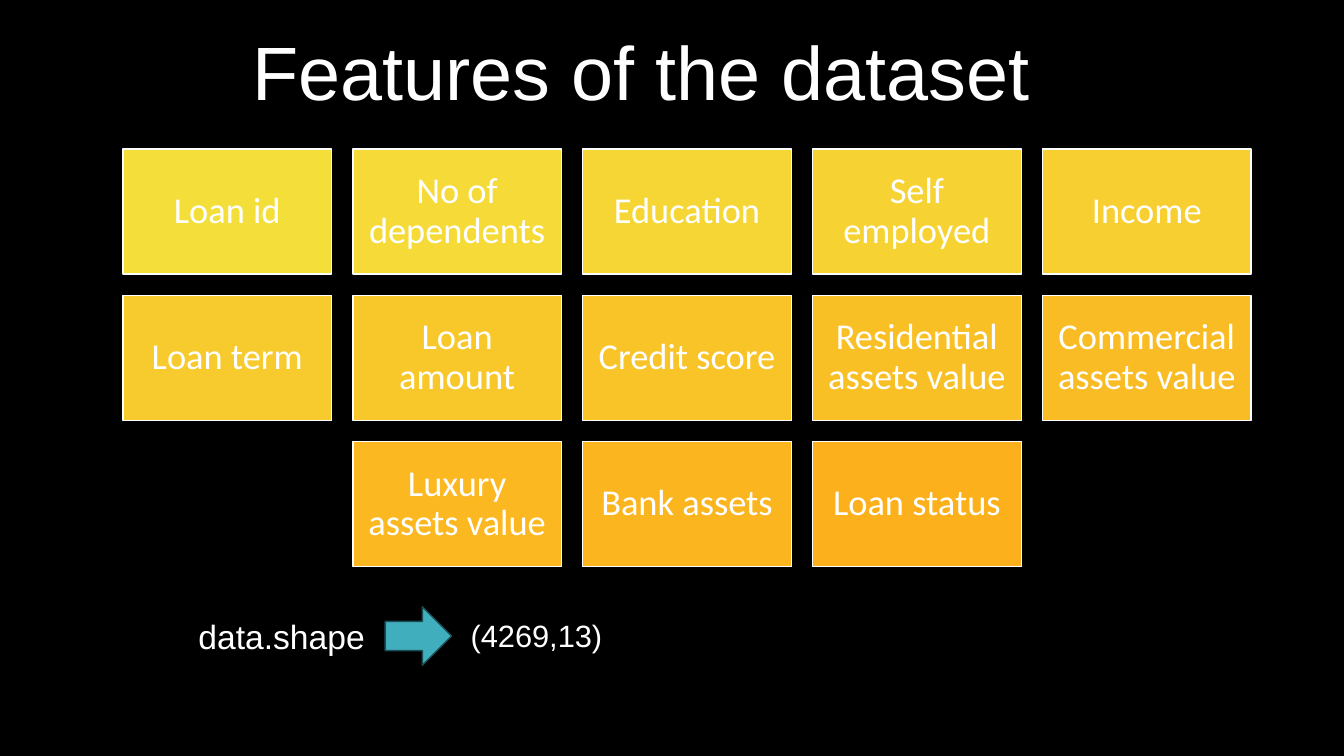
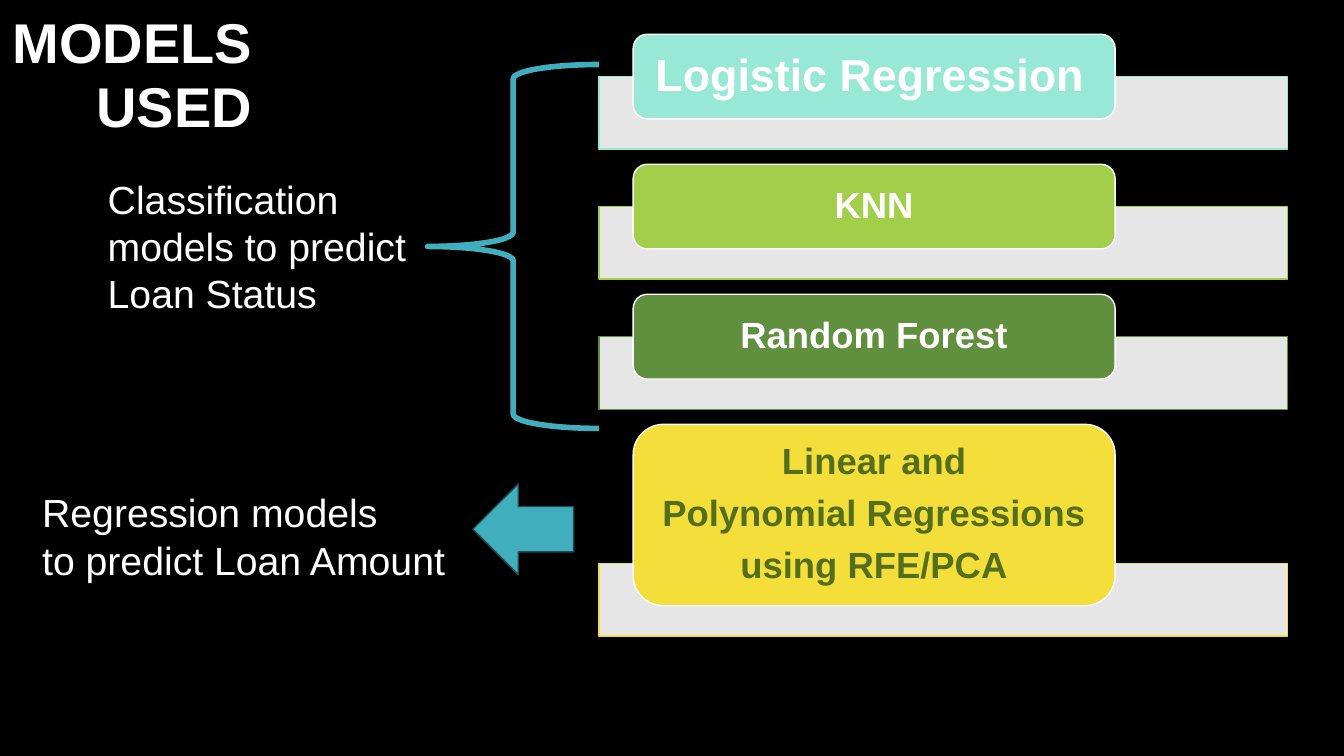
"""Build two dark slides: the features of a loan dataset and the models used on it."""
from pptx import Presentation
from pptx.dml.color import RGBColor
from pptx.enum.shapes import MSO_SHAPE
from pptx.enum.text import MSO_ANCHOR, MSO_AUTO_SIZE, PP_ALIGN
from pptx.util import Inches, Pt

WHITE, BLACK, BAR_GREY = "FFFFFF", "000000", "E6E6E6"
TEAL, TEAL_EDGE, OLIVE = "41AEBD", "1C4C53", "536F1D"
FIRST_FEATURE, LAST_FEATURE = "F4DE3A", "FCB11C"
LEFT, CENTER, RIGHT = PP_ALIGN.LEFT, PP_ALIGN.CENTER, PP_ALIGN.RIGHT

FEATURES = [
    ["Loan id", "No of dependents", "Education", "Self employed", "Income"],
    ["Loan term", "Loan amount", "Credit score", "Residential assets value",
     "Commercial assets value"],
    ["Luxury assets value", "Bank assets", "Loan status"],
]
GRID_LEFT, GRID_TOP, CELL_WIDTH, CELL_HEIGHT, CELL_GAP = 1.22, 1.48, 2.07, 1.24, 0.21

MODELS = [
    (["Logistic Regression"], "97E9D5", WHITE, 32, LEFT, 0.84),
    (["KNN"], "A2CF49", WHITE, 26, CENTER, 0.84),
    (["Random Forest"], "608F3D", WHITE, 26, CENTER, 0.84),
    (["Linear and", "Polynomial Regressions", "using RFE/PCA"],
     "F4DE3A", OLIVE, 26, CENTER, 1.8),
]
STACK_TOP, BAR_LEFT, BAR_WIDTH, BAR_HEIGHT = 0.34, 5.94, 6.83, 0.72
LABEL_INDENT, LABEL_WIDTH, OVERLAP, STACK_GAP = 0.34, 4.78, 0.42, 0.15


def color(hex_code):
    """Turn a hex string into a colour."""
    return RGBColor.from_string(hex_code)


def blend(start, end, share):
    """Mix two hex colours, channel by channel."""
    pairs = zip(color(start), color(end))
    return "".join(f"{round(a + (b - a) * share):02X}" for a, b in pairs)


def write(frame, lines, size, ink=WHITE, font="Arial", bold=False, align=LEFT,
          spacing=1.0, after=0, anchor=MSO_ANCHOR.TOP, insets=(0.1, 0.05)):
    """Fill a text frame with evenly formatted paragraphs."""
    frame.word_wrap = True
    frame.auto_size = MSO_AUTO_SIZE.NONE
    frame.vertical_anchor = anchor
    frame.margin_left = frame.margin_right = Inches(insets[0])
    frame.margin_top = frame.margin_bottom = Inches(insets[1])
    frame.text = "\n".join(lines)
    for paragraph in frame.paragraphs:
        paragraph.alignment = align
        paragraph.line_spacing = spacing
        paragraph.space_before, paragraph.space_after = Pt(0), Pt(after)
        paragraph.font.name, paragraph.font.size = font, Pt(size)
        paragraph.font.bold = bold
        paragraph.font.color.rgb = color(ink)


def add_box(slide, preset, place, fill, edge, edge_width=1):
    """Add a preset shape with a fill, or none, and an outline."""
    box = slide.shapes.add_shape(preset, *map(Inches, place))
    box.shadow.inherit = False
    if fill:
        box.fill.solid()
        box.fill.fore_color.rgb = color(fill)
    else:
        box.fill.background()
    box.line.color.rgb = color(edge)
    box.line.width = Pt(edge_width)
    return box


def add_note(slide, place, lines, size):
    """Add plain white text."""
    note = slide.shapes.add_textbox(*map(Inches, place))
    write(note.text_frame, lines, size)


def add_titled_slide(deck, title, place, size, **style):
    """Add a title-only slide and lay out its title."""
    slide = deck.slides.add_slide(deck.slide_layouts[5])
    heading = slide.shapes.title
    heading.left, heading.top, heading.width, heading.height = map(Inches, place)
    write(heading.text_frame, [title], size, anchor=MSO_ANCHOR.MIDDLE, **style)
    return slide


def build_features(deck):
    """Lay out the feature grid, each row centred, and the data shape."""
    slide = add_titled_slide(deck, "Features of the dataset", (1, 0.03, 10.72, 1.45),
                             54, align=CENTER, spacing=0.9)
    columns = max(map(len, FEATURES))
    cells = [(row, column + (columns - len(names)) / 2, name)
             for row, names in enumerate(FEATURES)
             for column, name in enumerate(names)]
    for index, (row, column, name) in enumerate(cells):
        place = (GRID_LEFT + column * (CELL_WIDTH + CELL_GAP),
                 GRID_TOP + row * (CELL_HEIGHT + CELL_GAP), CELL_WIDTH, CELL_HEIGHT)
        fill = blend(FIRST_FEATURE, LAST_FEATURE, index / (len(cells) - 1))
        cell = add_box(slide, MSO_SHAPE.RECTANGLE, place, fill, WHITE)
        write(cell.text_frame, [name], 26, font="Calibri", align=CENTER, spacing=0.9,
              anchor=MSO_ANCHOR.MIDDLE, insets=(0.11, 0.11))
    add_note(slide, (1.87, 6.06, 1.87, 0.5), ["data.shape"], 24)
    add_box(slide, MSO_SHAPE.RIGHT_ARROW, (3.82, 6.02, 0.66, 0.58), TEAL, TEAL_EDGE)
    add_note(slide, (4.57, 6.07, 1.53, 0.47), ["(4269,13)"], 22)


def build_models(deck):
    """Stack the models and point to what each group predicts."""
    slide = add_titled_slide(deck, "MODELS USED", (0, 0, 2.6, 1.52), 40,
                             bold=True, align=RIGHT, spacing=0.95)
    top = STACK_TOP
    for lines, fill, ink, size, align, height in MODELS:
        bar_top = top + height - OVERLAP
        add_box(slide, MSO_SHAPE.RECTANGLE, (BAR_LEFT, bar_top, BAR_WIDTH, BAR_HEIGHT),
                BAR_GREY, fill)
        label = add_box(slide, MSO_SHAPE.ROUNDED_RECTANGLE,
                        (BAR_LEFT + LABEL_INDENT, top, LABEL_WIDTH, height), fill, WHITE)
        write(label.text_frame, lines, size, ink, bold=True, align=align, spacing=0.9,
              after=9, anchor=MSO_ANCHOR.MIDDLE, insets=(0.18, 0))
        top = bar_top + BAR_HEIGHT + STACK_GAP
    add_note(slide, (0.32, 4.8, 4.36, 1.04),
             ["Regression models", "to predict Loan Amount"], 28)
    add_note(slide, (0.97, 1.69, 3.48, 1.51),
             ["Classification models to predict Loan Status"], 28)
    add_box(slide, MSO_SHAPE.LEFT_BRACE, (4.24, 0.64, 1.7, 3.61), None, TEAL, 4)
    add_box(slide, MSO_SHAPE.LEFT_ARROW, (4.69, 4.8, 1, 0.9), TEAL, TEAL_EDGE)


def main():
    """Build and save the deck."""
    deck = Presentation()
    deck.slide_width, deck.slide_height = Inches(13.33), Inches(7.5)
    backdrop = deck.slide_master.background.fill
    backdrop.solid()
    backdrop.fore_color.rgb = color(BLACK)
    build_features(deck)
    build_models(deck)
    deck.save("out.pptx")


if __name__ == "__main__":
    main()
